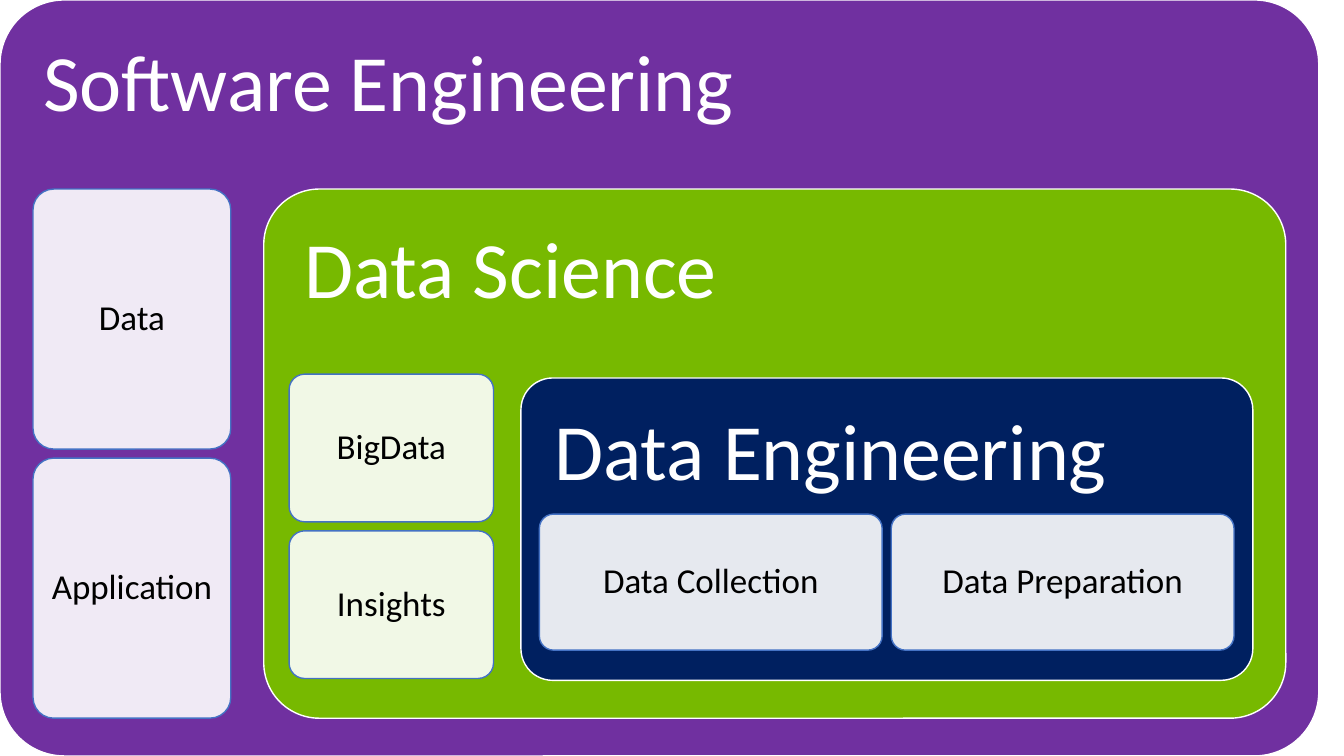
from dataclasses import dataclass

import pptx
import pptx.dml.color
import pptx.enum.shapes
import pptx.enum.text
import pptx.oxml.ns
import pptx.util
from lxml import etree

PAGE_WIDTH, PAGE_HEIGHT = 13.33, 7.5
GRID_WIDTH = 13.08
COLUMN, ROW = GRID_WIDTH / 40, PAGE_HEIGHT / 40
TILE_GAP = 0.09


@dataclass(frozen=True)
class Theme:
    font: str = "Calibri"
    purple: str = "7030A0"
    green: str = "77B900"
    navy: str = "002060"
    white: str = "FFFFFF"
    black: str = "000000"
    tile_line: str = "4472C4"
    tile_opacity: int = 90
    title_size: int = 57
    tile_size: int = 25
    line_width: int = 1
    line_spacing: float = 0.9


THEME = Theme()


@dataclass(frozen=True)
class Area:
    """A rectangle counted in grid columns and rows."""
    column: float
    row: float
    columns: float
    rows: float

    def inches(self) -> tuple[float, float, float, float]:
        return (self.column * COLUMN, self.row * ROW,
                self.columns * COLUMN, self.rows * ROW)


@dataclass(frozen=True)
class Style:
    line: str
    text: str
    size: int
    inset: float
    align: pptx.enum.text.PP_ALIGN
    anchor: pptx.enum.text.MSO_ANCHOR
    opacity: int = 100


@dataclass(frozen=True)
class Panel:
    title: str
    fill: str
    area: Area
    tiles: tuple[str, ...]
    tile_area: Area
    stacked: bool = True
    corner: float = 0.105


PANEL_STYLE = Style(THEME.white, THEME.white, THEME.title_size, 0.24,
                    pptx.enum.text.PP_ALIGN.LEFT, pptx.enum.text.MSO_ANCHOR.TOP)
TILE_STYLE = Style(THEME.tile_line, THEME.black, THEME.tile_size, 0.1,
                   pptx.enum.text.PP_ALIGN.CENTER, pptx.enum.text.MSO_ANCHOR.MIDDLE,
                   THEME.tile_opacity)

PANELS = (
    Panel("Software Engineering", THEME.purple, Area(0, 0, 40, 40),
          ("Data", "Application"), Area(1, 10, 6, 28), corner=0.085),
    Panel("Data Science", THEME.green, Area(8, 10, 31, 28),
          ("BigData", "Insights"), Area(8.77, 19.8, 6.2, 16.1)),
    Panel("Data Engineering", THEME.navy, Area(15.8, 20, 22.2, 16),
          ("Data Collection", "Data Preparation"), Area(16.36, 27.2, 21.07, 7.2),
          stacked=False),
)


def color(value: str) -> pptx.dml.color.RGBColor:
    return pptx.dml.color.RGBColor.from_string(value)


def apply(target: object, values: dict[str, object]) -> None:
    for name, value in values.items():
        setattr(target, name, value)


def set_opacity(shape, percent: int) -> None:
    fill_color = shape.fill._xPr.find(".//" + pptx.oxml.ns.qn("a:srgbClr"))
    alpha = etree.SubElement(fill_color, pptx.oxml.ns.qn("a:alpha"))
    alpha.set("val", str(percent * 1000))


def add_box(page, text: str, fill: str, place: tuple[float, ...],
            corner: float, style: Style) -> None:
    box = page.shapes.add_shape(pptx.enum.shapes.MSO_SHAPE.ROUNDED_RECTANGLE,
                                *map(pptx.util.Inches, place))
    box.adjustments[0] = corner
    box.shadow.inherit = False
    box.fill.solid()
    box.fill.fore_color.rgb = color(fill)
    if style.opacity < 100:
        set_opacity(box, style.opacity)
    box.line.color.rgb = color(style.line)
    box.line.width = pptx.util.Pt(THEME.line_width)

    inset = pptx.util.Inches(style.inset)
    apply(box.text_frame, {
        "word_wrap": True, "vertical_anchor": style.anchor,
        "margin_left": inset, "margin_right": inset,
        "margin_top": inset, "margin_bottom": inset,
    })
    para = box.text_frame.paragraphs[0]
    apply(para, {"alignment": style.align, "line_spacing": THEME.line_spacing})
    span = para.add_run()
    span.text = text
    apply(span.font, {"name": THEME.font, "size": pptx.util.Pt(style.size)})
    span.font.color.rgb = color(style.text)


def add_tiles(page, panel: Panel) -> None:
    """Share the tile area equally, downwards if stacked, else across."""
    left, top, width, height = panel.tile_area.inches()
    count = len(panel.tiles)
    length = ((height if panel.stacked else width) - TILE_GAP * (count - 1)) / count
    for index, label in enumerate(panel.tiles):
        offset = index * (length + TILE_GAP)
        place = ((left, top + offset, width, length) if panel.stacked
                 else (left + offset, top, length, height))
        add_box(page, label, THEME.white, place, 0.105, TILE_STYLE)


def main() -> None:
    deck = pptx.Presentation()
    apply(deck, {"slide_width": pptx.util.Inches(PAGE_WIDTH),
                 "slide_height": pptx.util.Inches(PAGE_HEIGHT)})
    page = deck.slides.add_slide(deck.slide_layouts[6])
    for panel in PANELS:
        add_box(page, panel.title, panel.fill, panel.area.inches(),
                panel.corner, PANEL_STYLE)
        add_tiles(page, panel)
    deck.save("out.pptx")


if __name__ == "__main__":
    main()
